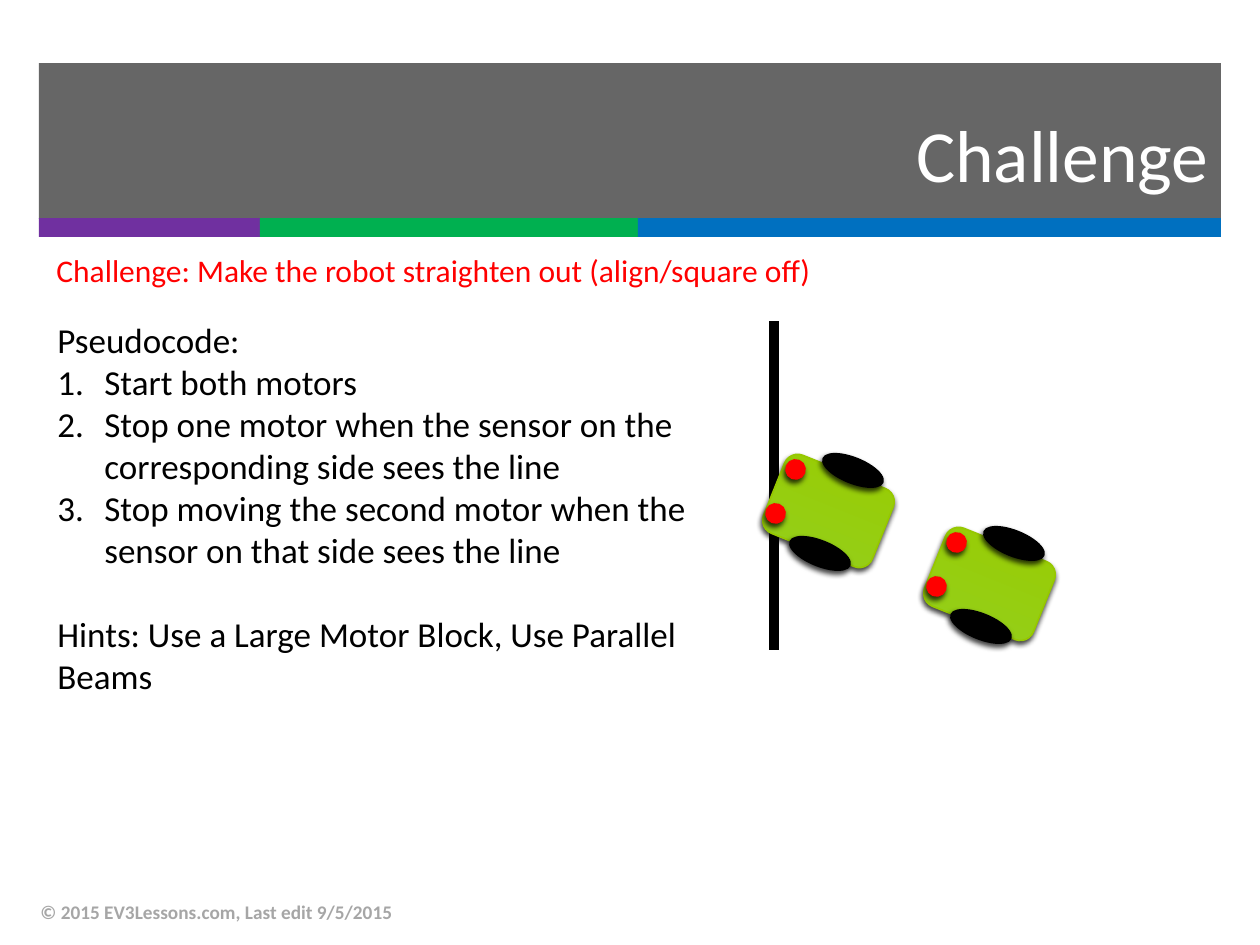
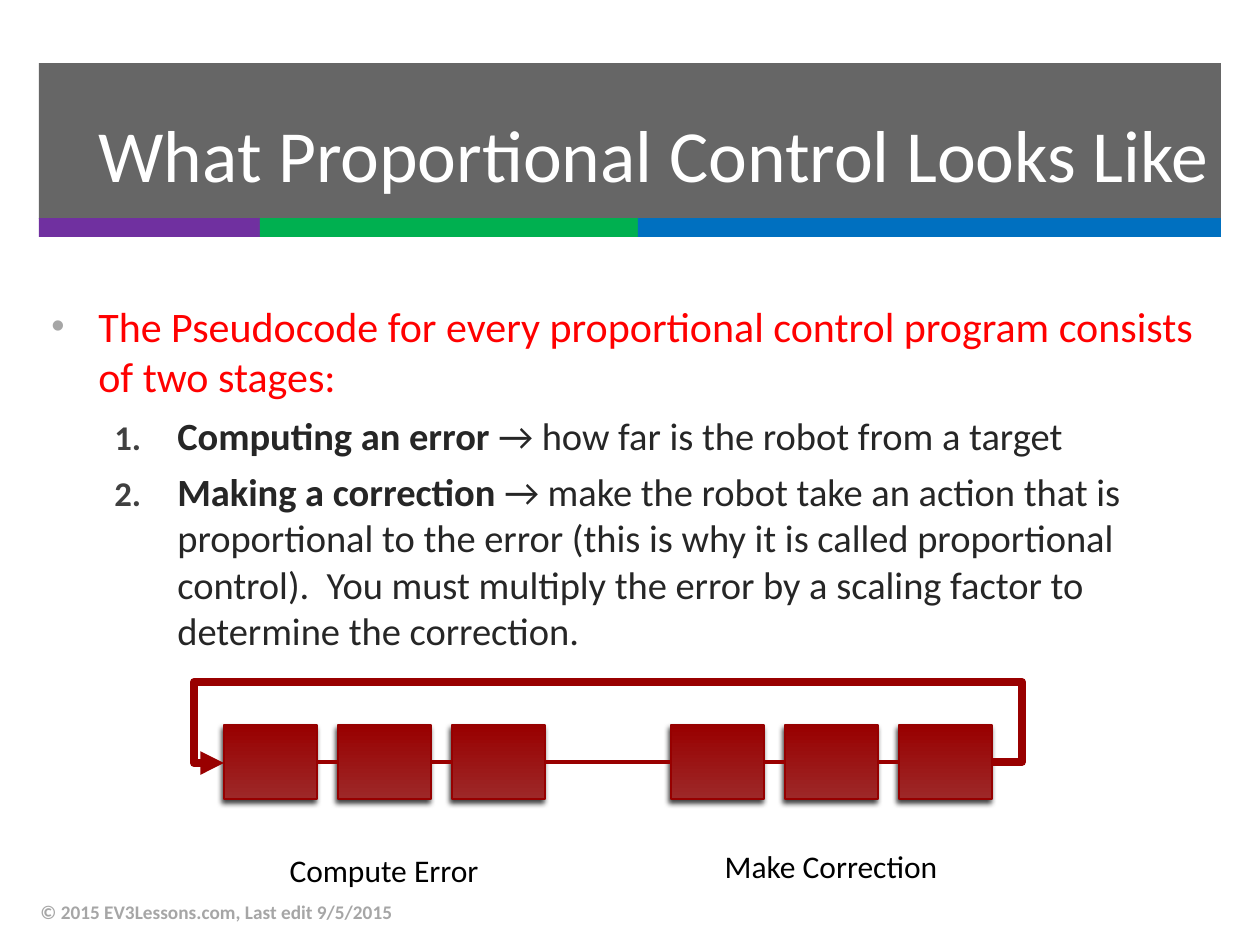
from lxml import etree
from pptx import Presentation
from pptx.dml.color import RGBColor
from pptx.enum.shapes import MSO_CONNECTOR, MSO_SHAPE
from pptx.enum.text import MSO_ANCHOR, PP_ALIGN
from pptx.oxml.ns import qn
from pptx.util import Emu, Pt

PX = 914400 / 126
FONT = "Calibri"
BLACK, RED, WHITE, GREY = "000000", "FF0000", "FFFFFF", "A6A6A6"
BAND, INK, NUMBER = "262626", "262626", "404040"
MAROON, MAROON_EDGE, MAROON_FILL = "990000", "960000", ("9D2828", "990000")
GREEN_EDGE, GREEN_FILL = "96C800", ("93CF1E", "99CC00")

# Shared frame
FOOTER = "© 2015 EV3Lessons.com, Last edit 9/5/2015"
BAND_LEFT, BAND_WIDTH = 39, 1182
STRIPES = [("7030A0", 221), ("00B050", 378), ("0070C0", 583)]

# Slide 1
CHALLENGE = "Challenge: Make the robot straighten out (align/square off)"
STEPS = [
    "Start both motors",
    "Stop one motor when the sensor on the corresponding side sees the line",
    "Stop moving the second motor when the sensor on that side sees the line",
]
HINTS = "Hints: Use a Large Motor Block, Use Parallel Beams"
ROBOTS = [(931, 542), (770, 469)]
ROBOT_ANGLE = 21.9
ROBOT_PARTS = [  # preset, offset and size, fill, line
    (MSO_SHAPE.ROUNDED_RECTANGLE, (0, 0, 117, 84), GREEN_FILL, GREEN_EDGE),
    (MSO_SHAPE.OVAL, (51, -11, 64, 25), BLACK, BLACK),
    (MSO_SHAPE.OVAL, (18, 72, 64, 25), BLACK, BLACK),
    (MSO_SHAPE.OVAL, (16, -9, 19, 19), RED, RED),
    (MSO_SHAPE.OVAL, (-4, 35, 19, 19), RED, RED),
]

# Slide 2
INTRO = "The Pseudocode for every proportional control program consists of two stages:"
STAGES = [
    ("Computing an error ", "→ how far is the robot from a target"),
    ("Making a correction ",
     "→ make the robot take an action that is proportional to the error (this is why "
     "it is called proportional control).  You must multiply the error by a scaling "
     "factor to determine the correction."),
]
BLOCK_GROUPS = [("Compute Error", 224, 845), ("Make Correction", 671, 841)]  # left, label top
BLOCKS_PER_GROUP, BLOCK_STEP, BLOCK_TOP, BLOCK_W, BLOCK_H = 3, 114, 725, 93, 74
LOOP_TOP, LOOP_MARGIN = 682, 30


def px(*values):
    return [Emu(round(v * PX)) for v in values]


def rgb(color):
    return RGBColor.from_string(color)


def sub(parent, tag, **attrs):
    return etree.SubElement(parent, qn(tag), {k: str(v) for k, v in attrs.items()})


def add_shadow(sp):
    effects = sp._element.spPr.find(qn("a:effectLst"))
    shadow = sub(effects, "a:outerShdw", blurRad=Pt(3), dist=Pt(2),
                 dir=110 * 60000, rotWithShape=0)
    sub(sub(shadow, "a:srgbClr", val=BLACK), "a:alpha", val=75000)


def add_shape(shapes, preset, box, fill, line=None, shadow=False):
    """Add a preset shape; a pair of colours as fill runs from bottom to top."""
    sp = shapes.add_shape(preset, *px(*box))
    sp.shadow.inherit = False
    if isinstance(fill, tuple):
        sp.fill.gradient()
        sp.fill.gradient_angle = 90
        for stop, color in zip(sp.fill.gradient_stops, fill):
            stop.color.rgb = rgb(color)
    else:
        sp.fill.solid()
        sp.fill.fore_color.rgb = rgb(fill)
    if line:
        sp.line.color.rgb = rgb(line)
        sp.line.width = Pt(1)
    else:
        sp.line.fill.background()
    if shadow:
        add_shadow(sp)
    return sp


def add_line(slide, start, end, color, width):
    line = slide.shapes.add_connector(MSO_CONNECTOR.STRAIGHT, *px(*start, *end))
    line.line.color.rgb = rgb(color)
    line.line.width = Pt(width)
    sub(line._element.spPr, "a:effectLst")
    return line


def add_text(slide, box, anchor=MSO_ANCHOR.TOP):
    tf = slide.shapes.add_textbox(*px(*box)).text_frame
    tf.word_wrap = True
    tf.vertical_anchor = anchor
    return tf


def add_paragraph(tf, runs, size, color, bold=None, align=None, before=0,
                  bullet=None, left=0, hang=0):
    """Fill the empty first paragraph or add one; bullet is (kind, colour, percent)."""
    p = tf.paragraphs[0]
    if p.runs:
        p = tf.add_paragraph()
        p.space_before = Pt(before)
    if align is not None:
        p.alignment = align
    if bullet:
        kind, bullet_color, percent = bullet
        pPr = p._p.get_or_add_pPr()
        pPr.set("marL", str(px(left)[0]))
        pPr.set("indent", str(-px(hang)[0]))
        sub(sub(pPr, "a:buClr"), "a:srgbClr", val=bullet_color)
        sub(pPr, "a:buSzPct", val=percent * 1000)
        if kind == "number":
            sub(pPr, "a:buFont", typeface="+mj-lt")
            sub(pPr, "a:buAutoNum", type="arabicPeriod")
        else:
            sub(pPr, "a:buFont", typeface="Arial")
            sub(pPr, "a:buChar", char=kind)
    p.font.name, p.font.size, p.font.bold = FONT, Pt(size), bold
    p.font.color.rgb = rgb(color)
    for text in runs:
        p.add_run().text = text
    return p


def add_slide(prs, title):
    """Add a slide with the band, stripes, title and footer."""
    slide = prs.slides.add_slide(prs.slide_layouts[6])
    band = add_shape(slide.shapes, MSO_SHAPE.RECTANGLE, (BAND_LEFT, 63, BAND_WIDTH, 156), BAND)
    sub(band._element.spPr.find(".//" + qn("a:srgbClr")), "a:alpha", val=70000)
    left = BAND_LEFT
    for color, width in STRIPES:
        add_shape(slide.shapes, MSO_SHAPE.RECTANGLE, (left, 218, width, 19), color)
        left += width
    tf = add_text(slide, (BAND_LEFT, 87, BAND_WIDTH, 133), MSO_ANCHOR.MIDDLE)
    add_paragraph(tf, [title], 42, WHITE, align=PP_ALIGN.RIGHT)
    tf = add_text(slide, (28, 887, 844, 50), MSO_ANCHOR.MIDDLE)
    add_paragraph(tf, [FOOTER], 11, GREY, bold=True)
    return slide


def add_robot(slide, x, y):
    robot = slide.shapes.add_group_shape()
    for preset, (dx, dy, w, h), fill, line in ROBOT_PARTS:
        part = add_shape(robot.shapes, preset, (x + dx, y + dy, w, h), fill, line, shadow=True)
        part.rotation = ROBOT_ANGLE


def add_loop(slide, left, right, y):
    """Draw the arrow from the last block over the top back to the first."""
    points = [(right + LOOP_MARGIN, y), (right + LOOP_MARGIN, LOOP_TOP),
              (left - LOOP_MARGIN, LOOP_TOP), (left - LOOP_MARGIN, y + 1), (left, y + 1)]
    builder = slide.shapes.build_freeform(right, y, scale=PX)
    builder.add_line_segments(points, close=False)
    loop = builder.convert_to_shape()
    loop.shadow.inherit = False
    loop.fill.background()
    loop.line.color.rgb = rgb(MAROON)
    loop.line.width = Pt(4.5)
    ln = loop.line._get_or_add_ln()
    sub(ln, "a:round")
    sub(ln, "a:tailEnd", type="triangle")


def build_challenge(prs):
    slide = add_slide(prs, "Challenge")
    add_paragraph(add_text(slide, (44, 245, 1154, 171)), [CHALLENGE], 18, RED)
    add_line(slide, (774, 650), (774, 321), BLACK, 6)
    for x, y in ROBOTS:
        add_robot(slide, x, y)
    tf = add_text(slide, (45, 312, 668, 394))
    add_paragraph(tf, ["Pseudocode:"], 20, BLACK)
    for step in STEPS:
        add_paragraph(tf, [step], 20, BLACK, bullet=("number", BLACK, 100), left=47, hang=47)
    add_paragraph(tf, [HINTS], 20, BLACK, before=24)


def build_proportional_control(prs):
    slide = add_slide(prs, "What Proportional Control Looks Like")
    tf = add_text(slide, (BAND_LEFT, 294, BAND_WIDTH, 551))
    add_paragraph(tf, [INTRO], 24, RED, bullet=("•", GREY, 90), left=47, hang=47)
    for stage in STAGES:
        p = add_paragraph(tf, stage, 22, INK, before=6, bullet=("number", NUMBER, 90),
                          left=126, hang=63)
        p.runs[0].font.bold = True

    blocks = []
    for label, left, label_top in BLOCK_GROUPS:
        for i in range(BLOCKS_PER_GROUP):
            box = (left + i * BLOCK_STEP, BLOCK_TOP, BLOCK_W, BLOCK_H)
            blocks.append(add_shape(slide.shapes, MSO_SHAPE.RECTANGLE, box,
                                    MAROON_FILL, MAROON_EDGE, shadow=True))
        tf = add_text(slide, (left, label_top, 320, 50))
        add_paragraph(tf, [label], 18, BLACK, align=PP_ALIGN.CENTER)

    last_right = BLOCK_GROUPS[-1][1] + (BLOCKS_PER_GROUP - 1) * BLOCK_STEP + BLOCK_W
    add_loop(slide, BLOCK_GROUPS[0][1], last_right, BLOCK_TOP + BLOCK_H // 2)
    for a, b in zip(blocks, blocks[1:]):
        link = add_line(slide, (0, 0), (0, 0), MAROON, 2)
        link.begin_connect(a, 3)
        link.end_connect(b, 1)


def main():
    prs = Presentation()
    prs.slide_width, prs.slide_height = px(1260, 945)
    build_challenge(prs)
    build_proportional_control(prs)
    prs.save("out.pptx")


if __name__ == "__main__":
    main()
